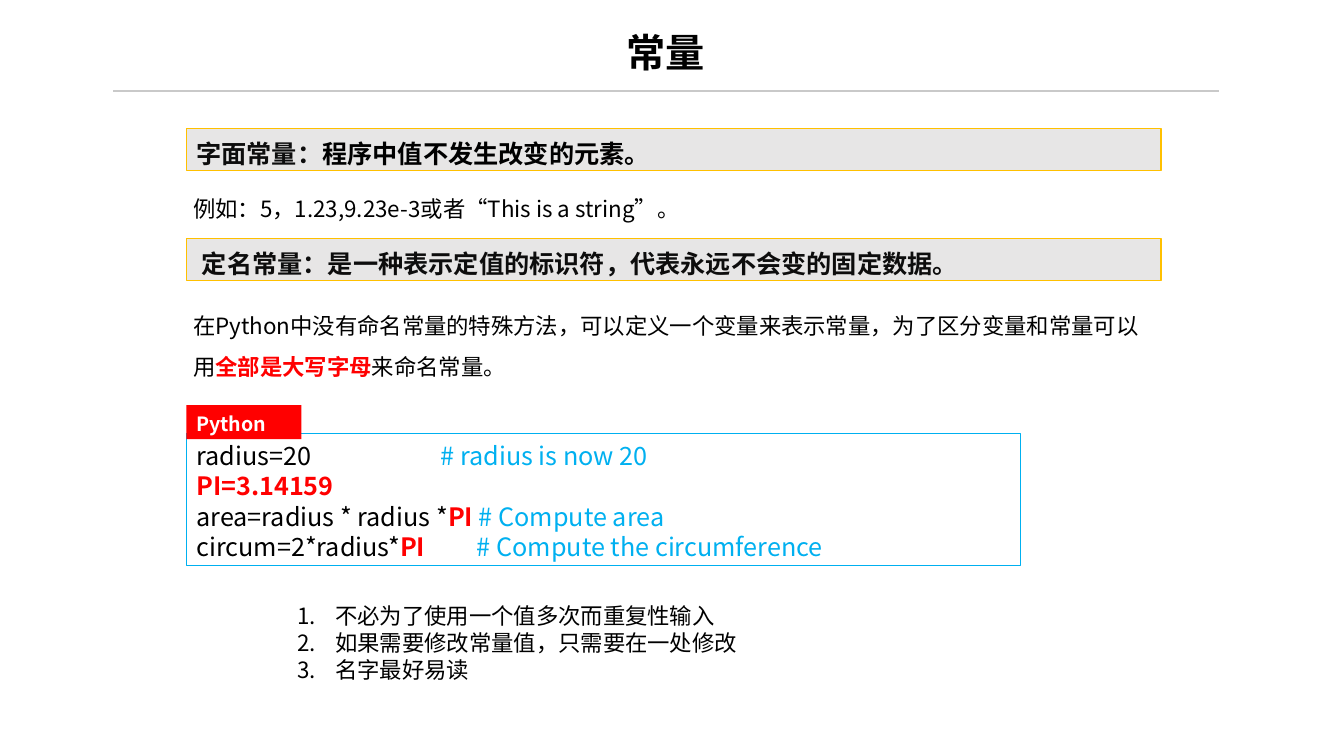
"""Builds the slide on literal and named constants in Python."""
from lxml import etree
from pptx import Presentation
from pptx.dml.color import RGBColor
from pptx.enum.shapes import MSO_CONNECTOR, MSO_SHAPE
from pptx.enum.text import MSO_ANCHOR, MSO_AUTO_SIZE, PP_ALIGN
from pptx.oxml.ns import qn
from pptx.util import Cm, Pt

RECTANGLE = MSO_SHAPE.RECTANGLE
STRAIGHT = MSO_CONNECTOR.STRAIGHT
TOP = MSO_ANCHOR.TOP
NO_AUTOFIT = MSO_AUTO_SIZE.NONE
LEFT, CENTER = PP_ALIGN.LEFT, PP_ALIGN.CENTER
FONT = "Noto Sans CJK SC"
BLACK, INK, WHITE, GREY = "000000", "0D0D0D", "FFFFFF", "E7E6E6"
RED, BLUE, GOLD, RULE = "FF0000", "00B0F0", "FFC000", "C9C9C9"
EDGE = 4.7
TEXT_EDGE = 4.62


def color(hex_string):
    return RGBColor.from_string(hex_string)


def add_text(paragraphs, left, top, width, height, size=16, spacing=1.2, fill=None,
             line=None, align=LEFT, inset=0.25, tab_stops=(), numbered=False):
    """Adds a box; each paragraph is a list of (text, color, bold) runs."""
    place = Cm(left), Cm(top), Cm(width), Cm(height)
    if fill:
        shape = slide.shapes.add_shape(RECTANGLE, *place)
        shape.shadow.inherit = False
        shape.fill.solid()
        shape.fill.fore_color.rgb = color(fill)
        if line:
            shape.line.color.rgb = color(line)
            shape.line.width = Pt(0.75)
        else:
            shape.line.fill.background()
    else:
        shape = slide.shapes.add_textbox(*place)
    frame = shape.text_frame
    frame.word_wrap = True
    frame.auto_size = NO_AUTOFIT
    frame.vertical_anchor = TOP
    frame.margin_left, frame.margin_right = Cm(inset), Cm(0.25)
    frame.margin_top, frame.margin_bottom = Cm(0.18), Cm(0.13)
    for index, runs in enumerate(paragraphs):
        paragraph = frame.add_paragraph() if index else frame.paragraphs[0]
        properties = paragraph._p.get_or_add_pPr()
        if numbered:
            properties.set("marL", str(Cm(3.5)))
            properties.set("indent", str(-Cm(0.96)))
            etree.SubElement(properties, qn("a:buFont"), typeface=FONT)
            etree.SubElement(properties, qn("a:buAutoNum"), type="arabicPeriod")
        if tab_stops and tab_stops[index]:
            tabs = etree.SubElement(properties, qn("a:tabLst"))
            etree.SubElement(tabs, qn("a:tab"), pos=str(Cm(tab_stops[index])), algn="l")
        paragraph.alignment = align
        paragraph.line_spacing = Pt(round(size * spacing, 1))
        for text, text_color, bold in runs:
            run = paragraph.add_run()
            run.text = text
            run.font.name = FONT
            run.font.size = Pt(size)
            run.font.bold = bold
            run.font.color.rgb = color(text_color)
            etree.SubElement(run._r.get_or_add_rPr(), qn("a:ea"), typeface=FONT)


presentation = Presentation()
presentation.slide_width, presentation.slide_height = Cm(33.87), Cm(19.05)
slide = presentation.slides.add_slide(presentation.slide_layouts[6])

title_rule = slide.shapes.add_connector(STRAIGHT, Cm(2.85), Cm(2.29), Cm(30.71), Cm(2.29))
title_rule.line.color.rgb = color(RULE)
title_rule.line.width = Pt(1)
etree.SubElement(title_rule._element.spPr, qn("a:effectLst"))

add_text([[("常量", BLACK, True)]], 7.37, 0.53, 18.82, 1.45, size=28, align=CENTER)

headings = [
    (3.23, 0.25, [("字面常量：", INK, True), ("程序中值不发生改变的元素。", BLACK, True)]),
    (6, 0.39, [("定名常量：是一种表示定值的标识符，代表永远不会变的固定数据。", INK, True)]),
]
for top, inset, runs in headings:
    add_text([runs], EDGE, top, 24.56, 1.06, size=18, spacing=1.32,
             fill=GREY, line=GOLD, inset=inset)

add_text([[("例如：5，1.23,9.23e-3或者“This is a string”。", BLACK, False)]],
         TEXT_EDGE, 4.75, 21.41, 0.94)

add_text([[
    ("在Python中没有命名常量的特殊方法，可以定义一个变量来表示常量，为了区分变量和常量可以用",
     BLACK, False),
    ("全部是大写字母", RED, True),
    ("来命名常量。", BLACK, False),
]], TEXT_EDGE, 7.34, 24.71, 2.18, spacing=1.82)

code_lines = [
    [("radius=20\t", BLACK, False), ("# radius is now 20", BLUE, False)],
    [("PI=3.14159", RED, True)],
    [("area=radius * radius *", BLACK, False), ("PI ", RED, True),
     ("# Compute area", BLUE, False)],
    [("circum=2*radius*", BLACK, False), ("PI\t", RED, True),
     ("# Compute the circumference", BLUE, False)],
]
add_text(code_lines, EDGE, 10.92, 21.01, 3.33, size=18, fill=WHITE, line=BLUE,
         tab_stops=(6.16, None, None, 7.07))
add_text([[("Python", WHITE, True)]], EDGE, 10.21, 2.9, 0.86, size=14, fill=RED)

benefits = ["不必为了使用一个值多次而重复性输入", "如果需要修改常量值，只需要在一处修改", "名字最好易读"]
add_text([[(benefit, BLACK, False)] for benefit in benefits],
         EDGE, 14.99, 21.01, 2.39, numbered=True)

presentation.save("out.pptx")
